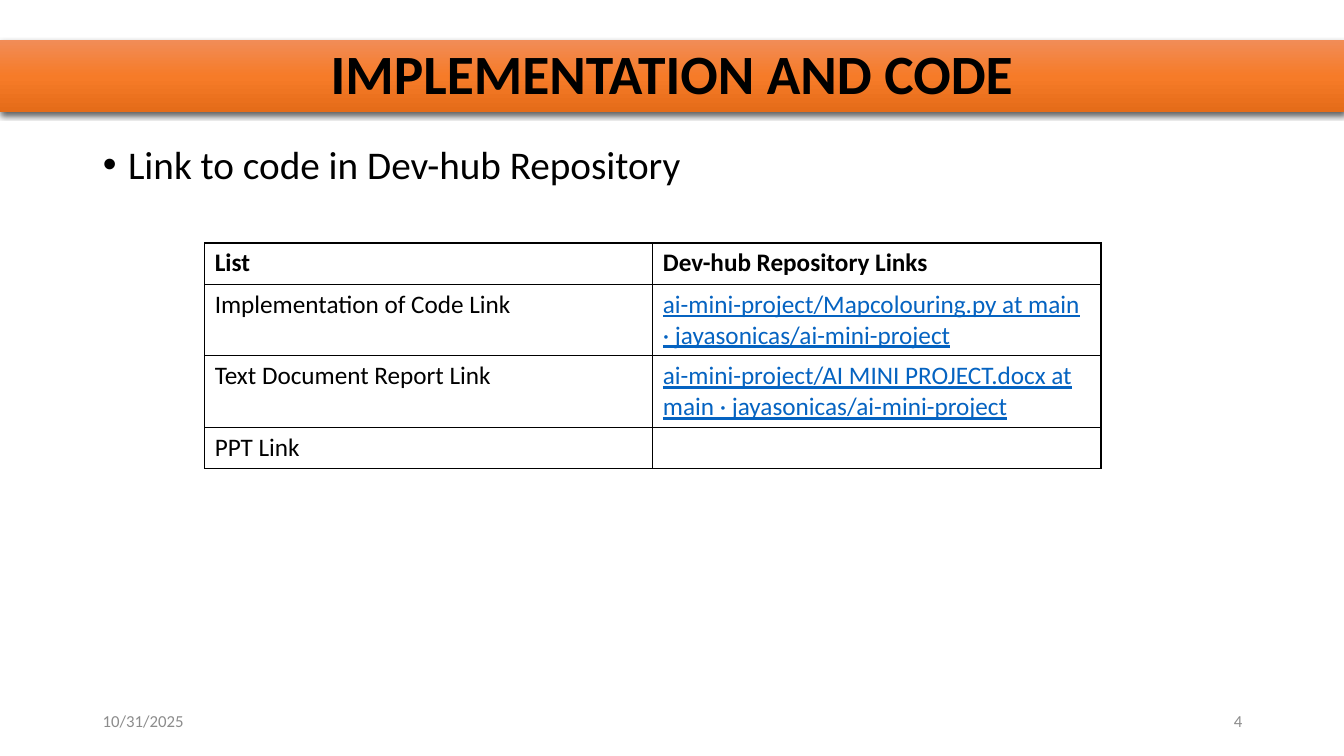
from lxml import etree
from pptx import Presentation
from pptx.dml.color import RGBColor
from pptx.enum import text as t
from pptx.util import Inches, Pt

NS = 'xmlns:a="http://schemas.openxmlformats.org/drawingml/2006/main"'


def write(frame, content, size=18, color="000000", bold=False, underline=False,
          align=t.PP_ALIGN.LEFT, anchor=t.MSO_ANCHOR.TOP):
    frame.word_wrap = True
    frame.auto_size = t.MSO_AUTO_SIZE.NONE
    frame.vertical_anchor = anchor
    paragraph = frame.paragraphs[0]
    paragraph.alignment = align
    run = paragraph.add_run()
    run.text = content
    font = run.font
    font.name, font.size = "Calibri", Pt(size)
    font.bold, font.underline = bold, underline
    font.color.rgb = RGBColor.from_string(color)
    return paragraph


def place(shape, left, top, width, height):
    shape.left, shape.top = Inches(left), Inches(top)
    shape.width, shape.height = Inches(width), Inches(height)


prs = Presentation()
prs.slide_width, prs.slide_height = Inches(13.33), Inches(7.5)
slide = prs.slides.add_slide(prs.slide_layouts[1])

# Title band with gradient and shadow
heading = slide.shapes.title
place(heading, 0, 0.4, 13.33, 0.71)
write(heading.text_frame, "IMPLEMENTATION AND CODE", size=39.6, bold=True,
      align=t.PP_ALIGN.CENTER, anchor=t.MSO_ANCHOR.MIDDLE).line_spacing = 0.9
stops = "".join(f'<a:gs pos="{pos}000"><a:srgbClr val="{color}"/></a:gs>'
                for pos, color in [(0, "F18C57"), (50, "F67B28"), (100, "E56C19")])
band_properties = heading.element.spPr
band_properties.append(etree.fromstring(
    f'<a:gradFill {NS} rotWithShape="1"><a:gsLst>{stops}</a:gsLst>'
    '<a:lin ang="5400000" scaled="0"/></a:gradFill>'))
band_properties.append(etree.fromstring(
    f'<a:effectLst {NS}><a:outerShdw blurRad="{Pt(4.5)}" dist="{Pt(1.5)}" dir="5400000" '
    'algn="ctr" rotWithShape="0"><a:srgbClr val="000000"><a:alpha val="63000"/>'
    '</a:srgbClr></a:outerShdw></a:effectLst>'))

# Bulleted introduction
intro = slide.placeholders[1]
place(intro, 0.92, 1.39, 11.5, 5.37)
bullet = write(intro.text_frame, "Link to code in Dev-hub Repository", size=28)
bullet.line_spacing, bullet.space_before = 0.9, Pt(10)
bullet_format = bullet._p.get_or_add_pPr()
bullet_format.set("marL", str(Inches(0.25)))
bullet_format.set("indent", str(Inches(-0.25)))
bullet_format.append(etree.fromstring(f'<a:buFont {NS} typeface="Arial"/>'))
bullet_format.append(etree.fromstring(f'<a:buChar {NS} char="•"/>'))

# Table of repository links
link_rows = [
    ("List", "Dev-hub Repository Links", 0.41),
    ("Implementation of Code Link",
     "ai-mini-project/Mapcolouring.py at main · jayasonicas/ai-mini-project", 0.71),
    ("Text Document Report Link",
     "ai-mini-project/AI MINI PROJECT.docx at main · jayasonicas/ai-mini-project", 0.71),
    ("PPT Link", "", 0.41),
]
links = slide.shapes.add_table(len(link_rows), 2, Inches(2.03), Inches(2.41),
                               Inches(8.89), Inches(2.24)).table
links.horz_banding = False
for row, (item, link, height) in enumerate(link_rows):
    links.rows[row].height = Inches(height)
    for column, content in enumerate((item, link)):
        cell = links.cell(row, column)
        cell.fill.background()
        is_link = row > 0 and column == 1
        if content:
            write(cell.text_frame, content, bold=row == 0, underline=is_link,
                  color="0563C1" if is_link else "000000")
        cell_format = cell._tc.get_or_add_tcPr()
        for order, side in enumerate("LRTB"):
            cell_format.insert(order, etree.fromstring(
                f'<a:ln{side} {NS} w="{Pt(1)}"><a:solidFill><a:srgbClr val="000000"/>'
                f'</a:solidFill></a:ln{side}>'))

# Footer: date and page number
for left, content, align in [(0.92, "10/31/2025", t.PP_ALIGN.LEFT),
                             (9.42, "4", t.PP_ALIGN.RIGHT)]:
    footer = slide.shapes.add_textbox(Inches(left), Inches(6.95), Inches(3), Inches(0.4))
    write(footer.text_frame, content, size=12, color="8C8C8C", align=align,
          anchor=t.MSO_ANCHOR.MIDDLE)

prs.save("out.pptx")
